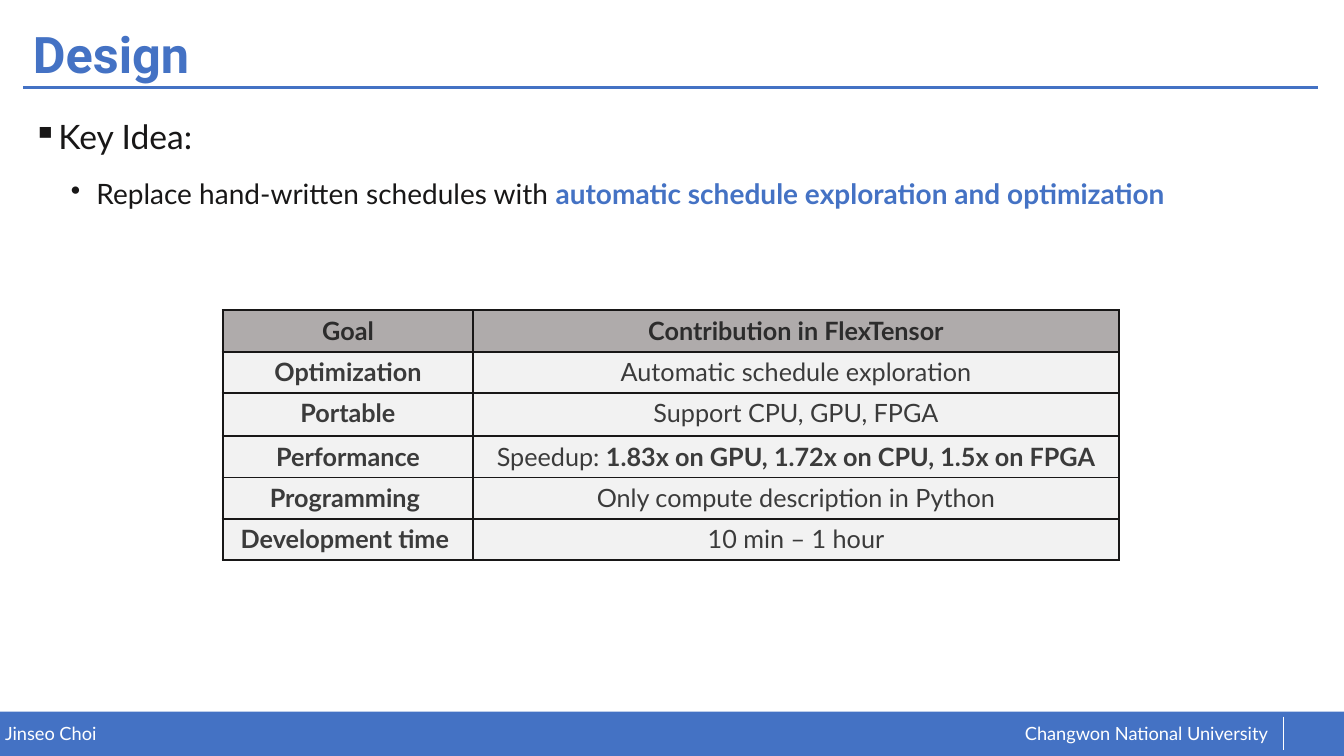
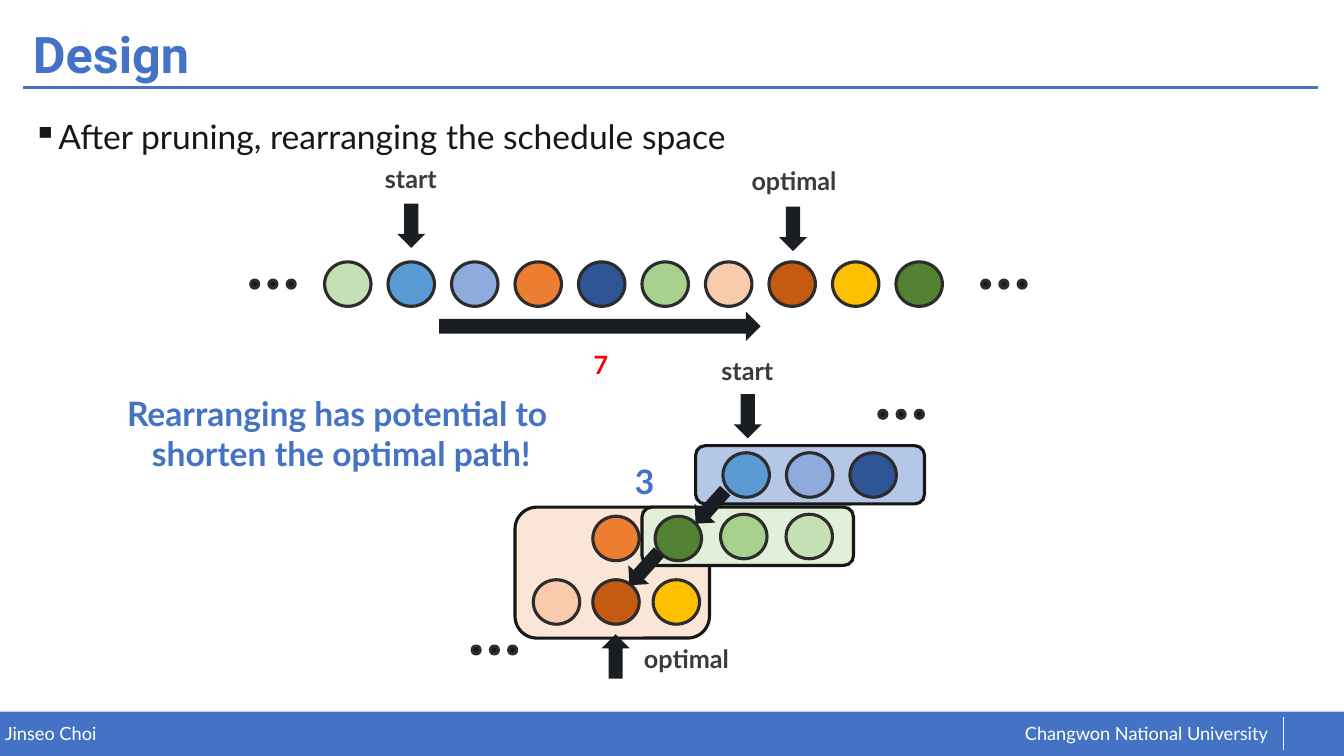
from collections import namedtuple

from lxml.etree import SubElement
from pptx import Presentation
from pptx.dml.color import RGBColor
from pptx.enum.shapes import MSO_CONNECTOR, MSO_SHAPE as Shape
from pptx.enum.text import MSO_ANCHOR as Anchor, PP_ALIGN as Align
from pptx.oxml.ns import qn
from pptx.util import Cm, Pt

COLORS = {
    "accent": "4472C4", "white": "FFFFFF", "ink": "181717", "outline": "2C2C2C",
    "text": "3B3B3B", "arrow": "1A1D21", "red": "FF0000",
    "header": "AFABAB", "cell": "F2F2F2",
    "pale_green": "C5E0B4", "green": "A9D18E", "dark_green": "548235",
    "sky": "5B9BD5", "blue": "8FAADC", "navy": "2F5597",
    "orange": "ED7D31", "peach": "F8CBAD", "rust": "C55A11", "gold": "FFC000",
    "blue_group": "B4C7E7", "peach_group": "FBE5D6", "green_group": "E2F0D9",
}
BODY_FONT = "Lato"
TITLE = {"name": "Roboto", "size": 36, "bold": True, "color": "accent"}
FOOTER = {"size": 13, "color": "white"}
LEVEL_ONE = {"size": 24, "color": "ink"}
LEVEL_TWO = {"size": 20, "color": "ink"}
LABEL = {"size": 18, "bold": True, "color": "text"}
CALLOUT = {"size": 24, "bold": True, "color": "accent"}
BULLETS = [("▪", 0.64, 0), ("•", 1.6, 5)]  # mark, indent, space before

PAGE_WIDTH, PAGE_HEIGHT = 33.87, 19.05
CIRCLE_WIDTH, CIRCLE_HEIGHT, CIRCLE_STEP = 1.17, 1.12, 1.6
DOT_SIZE, DOT_STEP = 0.2, 0.46


class Box(namedtuple("Box", "left top width height")):
    """An area in centimetres."""

    def inner(self, left, top, width, height):
        return Box(self.left + left, self.top + top, width, height)

    def lengths(self):
        return [Cm(value) for value in self]


PAGE = Box(0, 0, PAGE_WIDTH, PAGE_HEIGHT)
FOOTER_BOX = Box(0, 17.93, PAGE_WIDTH, 1.12)
TITLE_BOX = Box(0.58, 0.46, 32.66, 1.96)
BODY_BOX = Box(0.58, 2.39, 32.66, 14.3)


def rgb(name):
    return RGBColor.from_string(COLORS[name])


# Text

def add_span(para, text, style):
    span = para.add_run()
    span.text = text
    values = {"name": BODY_FONT, **style}
    span.font.color.rgb = rgb(values.pop("color"))
    values["size"] = Pt(values["size"])
    for key, value in values.items():
        setattr(span.font, key, value)


def add_text(page, box, lines, style, align=Align.LEFT, margin=None, **frame_format):
    frame = page.shapes.add_textbox(*box.lengths()).text_frame
    values = {"word_wrap": True, **frame_format}
    if margin is not None:
        for side in ("left", "top", "right", "bottom"):
            values[f"margin_{side}"] = Cm(margin)
    for key, value in values.items():
        setattr(frame, key, value)
    for index, line in enumerate(lines):
        para = frame.add_paragraph() if index else frame.paragraphs[0]
        para.alignment = align
        add_span(para, line, style)
    return frame


def add_bullets(page, box, items):
    """Place items of (level, [(text, style), ...])."""
    frame = page.shapes.add_textbox(*box.lengths()).text_frame
    frame.word_wrap = True
    for index, (level, spans) in enumerate(items):
        para = frame.add_paragraph() if index else frame.paragraphs[0]
        mark, indent, before = BULLETS[level]
        properties = para._p.get_or_add_pPr()
        properties.set("marL", str(Cm(indent)))
        properties.set("indent", str(-Cm(0.64)))
        SubElement(properties, qn("a:buChar")).set("char", mark)
        para.line_spacing = 1.4
        para.space_before = Pt(before)
        for text, style in spans:
            add_span(para, text, style)


# Shapes

def add_shape(page, kind, box, fill, line=None, rotation=0):
    shape = page.shapes.add_shape(kind, *box.lengths())
    shape.shadow.inherit = False
    shape.fill.solid()
    shape.fill.fore_color.rgb = rgb(fill)
    if line:
        shape.line.color.rgb = rgb(line)
        shape.line.width = Pt(2.25)
    else:
        shape.line.fill.background()
    shape.rotation = rotation


def add_line(page, start, end, color, width):
    ends = [Cm(value) for value in (*start, *end)]
    line = page.shapes.add_connector(MSO_CONNECTOR.STRAIGHT, *ends)
    line.line.color.rgb = rgb(color)
    line.line.width = Pt(width)
    SubElement(line._element.spPr, qn("a:effectLst"))


def add_circle(page, box, left, top, color):
    place = box.inner(left, top, CIRCLE_WIDTH, CIRCLE_HEIGHT)
    add_shape(page, Shape.OVAL, place, color, "outline")


def add_dots(page, box, left, top):
    for index in range(3):
        place = box.inner(left + index * DOT_STEP, top, DOT_SIZE, DOT_SIZE)
        add_shape(page, Shape.OVAL, place, "ink", "outline")


def add_pointer(page, box, left, top, rotation=0):
    place = box.inner(left, top, 0.71, 1.12)
    add_shape(page, Shape.DOWN_ARROW, place, "arrow", rotation=rotation)


def add_label(page, box, left, top, text, **changes):
    add_text(page, box.inner(left, top, 2.9, 1.02), [text], {**LABEL, **changes})


# Shared frame

def add_footer(page, box):
    add_shape(page, Shape.RECTANGLE, box, "accent")
    add_text(page, box.inner(25.83, 0.26, 6.3, 0.58),
             ["Changwon National University"], FOOTER, margin=0)
    add_text(page, box.inner(0.13, 0.28, 16.6, 0.56), ["Jinseo Choi"], FOOTER, margin=0)
    divider = box.left + 32.33
    add_line(page, (divider, box.top + 0.13), (divider, box.top + 0.97), "white", 0.5)


def add_title(page, box, text):
    rule = box.top + 1.75
    add_line(page, (box.left, rule), (box.left + 32.64, rule), "accent", 2)
    frame = add_text(page, box, [text], TITLE, vertical_anchor=Anchor.MIDDLE)
    frame.paragraphs[0].line_spacing = 0.9


def new_page(deck, title, items):
    page = deck.slides.add_slide(deck.slide_layouts[6])
    page.background.fill.solid()
    page.background.fill.fore_color.rgb = rgb("white")
    add_footer(page, FOOTER_BOX)
    add_title(page, TITLE_BOX, title)
    add_bullets(page, BODY_BOX, items)
    return page


# Goal table

GOALS = [
    ("Goal", [("Contribution in FlexTensor", True)]),
    ("Optimization", [("Automatic schedule exploration", False)]),
    ("Portable", [("Support CPU, GPU, FPGA", False)]),
    ("Performance", [("Speedup: ", False),
                     ("1.83x on GPU, 1.72x on CPU, 1.5x on FPGA", True)]),
    ("Programming ", [("Only compute description in Python", False)]),
    ("Development time ", [("10 min – 1 hour", False)]),
]


def add_borders(cell):
    properties = cell._tc.get_or_add_tcPr()
    for side in "LRTB":
        line = SubElement(properties, qn(f"a:ln{side}"), w=str(Pt(1.5)))
        fill = SubElement(line, qn("a:solidFill"))
        SubElement(fill, qn("a:srgbClr"), val=COLORS["ink"])


def add_goal_table(page, box):
    table = page.shapes.add_table(len(GOALS), 2, *box.lengths()).table
    for column, share in zip(table.columns, (0.28, 0.72)):
        column.width = Cm(round(box.width * share, 2))
    for index, (goal, contribution) in enumerate(GOALS):
        table.rows[index].height = Cm(1.09 if index == 2 else 1.04)
        for column, spans in enumerate(([(goal, True)], contribution)):
            cell = table.cell(index, column)
            add_borders(cell)
            cell.fill.solid()
            cell.fill.fore_color.rgb = rgb("cell" if index else "header")
            para = cell.text_frame.paragraphs[0]
            para.alignment = Align.CENTER
            color = "text" if index else "outline"
            for text, bold in spans:
                add_span(para, text, {**LABEL, "bold": bold, "color": color})


# Schedule space before and after rearranging

LINE_ORDER = ["pale_green", "sky", "blue", "orange", "navy",
              "green", "peach", "rust", "gold", "dark_green"]
# Group box, fill, circles as (left, top, color)
GROUPS = [
    ((5.63, 2.43, 5.77, 1.47), "blue_group",
     [(0.69, 0.18, "sky"), (2.29, 0.18, "blue"), (3.89, 0.18, "navy")]),
    ((1.08, 3.98, 4.9, 3.3), "peach_group",
     [(0.46, 1.83, "peach"), (1.96, 1.83, "rust"), (3.48, 1.83, "gold"),
      (1.96, 0.23, "orange")]),
    ((4.28, 3.98, 5.33, 1.47), "green_group",
     [(0.33, 0.23, "dark_green"), (1.98, 0.18, "green"), (3.63, 0.18, "pale_green")]),
]


def add_line_space(page, box):
    for index, color in enumerate(LINE_ORDER):
        add_circle(page, box, 1.88 + index * CIRCLE_STEP, 2.6, color)
    for left in (0.02, 18.44):
        add_dots(page, box, left, 3.06)
    for left, top in ((3.71, 1.13), (13.33, 1.21)):
        add_pointer(page, box, left, top)
    add_label(page, box, 3.15, 0, "start")
    add_label(page, box, 12.39, 0.04, "optimal")
    add_shape(page, Shape.RIGHT_ARROW, box.inner(4.77, 3.85, 8.1, 0.74), "arrow")
    add_label(page, box, 8.41, 4.69, "7", color="red")


def add_grouped_space(page, box):
    for place, fill, circles in GROUPS:
        group = box.inner(*place)
        add_shape(page, Shape.ROUNDED_RECTANGLE, group, fill, "ink")
        for left, top, color in circles:
            add_circle(page, group, left, top, color)
    add_dots(page, box, 10.25, 1.54)
    add_dots(page, box, 0, 7.48)
    for left, top, rotation in ((6.59, 1.13, 0), (3.26, 7.18, 180),
                                (5.65, 3.42, 41.8), (3.98, 4.97, 41.8)):
        add_pointer(page, box, left, top, rotation)
    add_label(page, box, 6.03, 0.04, "start")
    add_label(page, box, 4.08, 7.28, "optimal")
    add_label(page, box, 3.85, 2.68, "3", size=24, color="accent")


# Pages

def add_key_idea_page(deck):
    emphasis = {**LEVEL_TWO, "bold": True, "color": "accent"}
    page = new_page(deck, "Design", [
        (0, [("Key Idea:", LEVEL_ONE)]),
        (1, [("Replace hand-written schedules with ", LEVEL_TWO),
             ("automatic schedule exploration and optimization", emphasis)]),
    ])
    add_goal_table(page, PAGE.inner(5.61, 7.82, 22.58, 6.29))


def add_rearranging_page(deck):
    page = new_page(deck, "Design", [
        (0, [("After pruning, rearranging the schedule space", LEVEL_ONE)]),
    ])
    add_line_space(page, PAGE.inner(6.3, 4, 19.6, 5.7))
    add_grouped_space(page, PAGE.inner(11.9, 8.8, 11.4, 8.3))
    add_text(page, PAGE.inner(2.87, 9.78, 11.46, 2.31),
             ["Rearranging has potential to ", "shorten the optimal path!"],
             CALLOUT, Align.CENTER, word_wrap=False)


def main():
    deck = Presentation()
    deck.slide_width, deck.slide_height = Cm(PAGE_WIDTH), Cm(PAGE_HEIGHT)
    add_key_idea_page(deck)
    add_rearranging_page(deck)
    deck.save("out.pptx")


if __name__ == "__main__":
    main()
